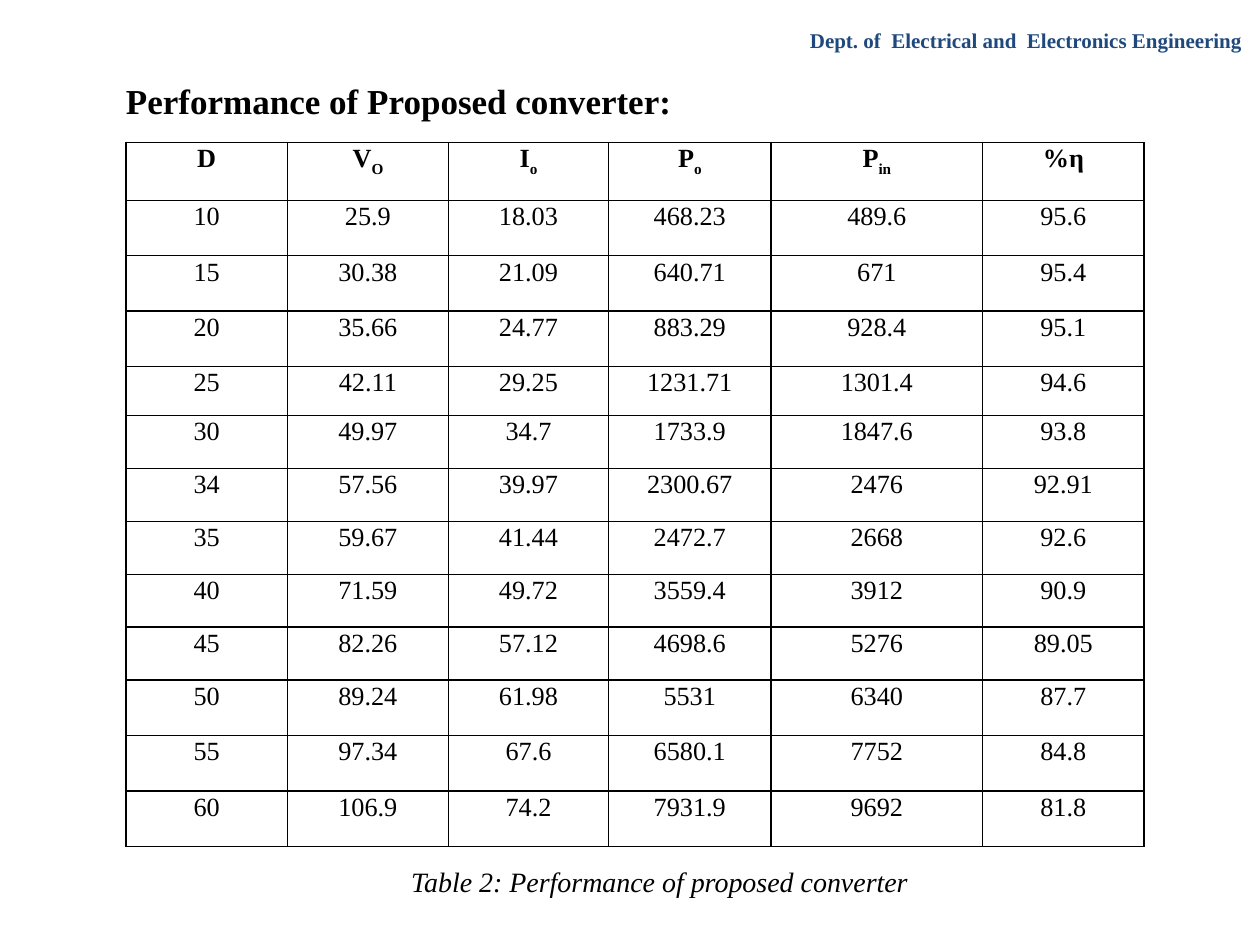
import dataclasses

import lxml.etree
import pptx
import pptx.dml.color
import pptx.enum.text
import pptx.oxml.ns
import pptx.slide
import pptx.util

Inches = pptx.util.Inches
Pt = pptx.util.Pt
ALIGN = pptx.enum.text.PP_ALIGN
ANCHOR = pptx.enum.text.MSO_ANCHOR
BLACK = pptx.dml.color.RGBColor(0x00, 0x00, 0x00)
NAVY = pptx.dml.color.RGBColor(0x1F, 0x49, 0x7D)

WIDTHS = [1.28, 1.28, 1.27, 1.29, 1.68, 1.28]
HEIGHTS = [0.46] + [0.44] * 3 + [0.39] + [0.42] * 5 + [0.44] * 3
HEADS = [("D", ""), ("V", "O"), ("I", "o"), ("P", "o"), ("P", "in"), ("%η", "")]
ROWS = [
    ("10", "25.9", "18.03", "468.23", "489.6", "95.6"),
    ("15", "30.38", "21.09", "640.71", "671", "95.4"),
    ("20", "35.66", "24.77", "883.29", "928.4", "95.1"),
    ("25", "42.11", "29.25", "1231.71", "1301.4", "94.6"),
    ("30", "49.97", "34.7", "1733.9", "1847.6", "93.8"),
    ("34", "57.56", "39.97", "2300.67", "2476", "92.91"),
    ("35", "59.67", "41.44", "2472.7", "2668", "92.6"),
    ("40", "71.59", "49.72", "3559.4", "3912", "90.9"),
    ("45", "82.26", "57.12", "4698.6", "5276", "89.05"),
    ("50", "89.24", "61.98", "5531", "6340", "87.7"),
    ("55", "97.34", "67.6", "6580.1", "7752", "84.8"),
    ("60", "106.9", "74.2", "7931.9", "9692", "81.8"),
]


@dataclasses.dataclass
class Sheet:
    """Holds the style and the current slide, and adds elements to it."""

    slide: pptx.slide.Slide
    face: str = "Times New Roman"
    rule: float = 1

    def run(self, para, text, size, color=BLACK, bold=False, italic=False, sub=False):
        run = para.add_run()
        run.text = text
        font = run.font
        font.name = self.face
        font.size = Pt(size)
        font.bold = bold
        font.italic = italic
        font.color.rgb = color
        if sub:
            run._r.get_or_add_rPr().set("baseline", "-25000")

    def text(self, box, text, size, align=ALIGN.LEFT, anchor=ANCHOR.TOP, **look):
        shape = self.slide.shapes.add_textbox(*map(Inches, box))
        frame = shape.text_frame
        frame.word_wrap = True
        frame.vertical_anchor = anchor
        para = frame.paragraphs[0]
        para.alignment = align
        self.run(para, text, size, **look)

    def border(self, cell):
        props = cell._tc.get_or_add_tcPr()
        for spot, side in enumerate(("lnL", "lnR", "lnT", "lnB")):
            line = lxml.etree.Element(pptx.oxml.ns.qn("a:" + side), w=str(Pt(self.rule)))
            fill = lxml.etree.SubElement(line, pptx.oxml.ns.qn("a:solidFill"))
            lxml.etree.SubElement(fill, pptx.oxml.ns.qn("a:srgbClr"), val=str(BLACK))
            props.insert(spot, line)

    def cell(self, cell, text, sub="", bold=False):
        cell.fill.background()
        self.border(cell)
        cell.margin_left = cell.margin_right = Inches(0.07)
        cell.margin_top = cell.margin_bottom = 0
        para = cell.text_frame.paragraphs[0]
        para.alignment = ALIGN.CENTER
        para.line_spacing = 1.07
        para.space_after = Pt(8)
        self.run(para, text, 15, bold=bold)
        if sub:
            self.run(para, sub, 15, bold=bold, sub=True)

    def table(self, left, top, heads, rows, widths, heights):
        size = map(Inches, (left, top, sum(widths), sum(heights)))
        table = self.slide.shapes.add_table(len(heights), len(widths), *size).table
        table.first_row = table.horz_banding = False
        for col, width in zip(table.columns, widths):
            col.width = Inches(width)
        for row, height in zip(table.rows, heights):
            row.height = Inches(height)
        for col, (text, sub) in enumerate(heads):
            self.cell(table.cell(0, col), text, sub, bold=True)
        for row, values in enumerate(rows, 1):
            for col, value in enumerate(values):
                self.cell(table.cell(row, col), value)


def main():
    deck = pptx.Presentation()
    deck.slide_width = Inches(10)
    deck.slide_height = Inches(7.5)
    sheet = Sheet(deck.slides.add_slide(deck.slide_layouts[6]))
    sheet.text((6.33, 0.17, 3.67, 0.3), "Dept. of  Electrical and  Electronics Engineering",
               12, color=NAVY, bold=True)
    sheet.text((-0.92, 0.51, 8.17, 0.58), "Performance of Proposed converter:",
               20, ALIGN.CENTER, ANCHOR.MIDDLE, bold=True)
    sheet.table(1, 1.13, HEADS, ROWS, WIDTHS, HEIGHTS)
    sheet.text((2.5, 6.81, 5.47, 0.37), "Table 2: Performance of proposed converter",
               16, ALIGN.CENTER, italic=True)
    deck.save("out.pptx")


if __name__ == "__main__":
    main()
